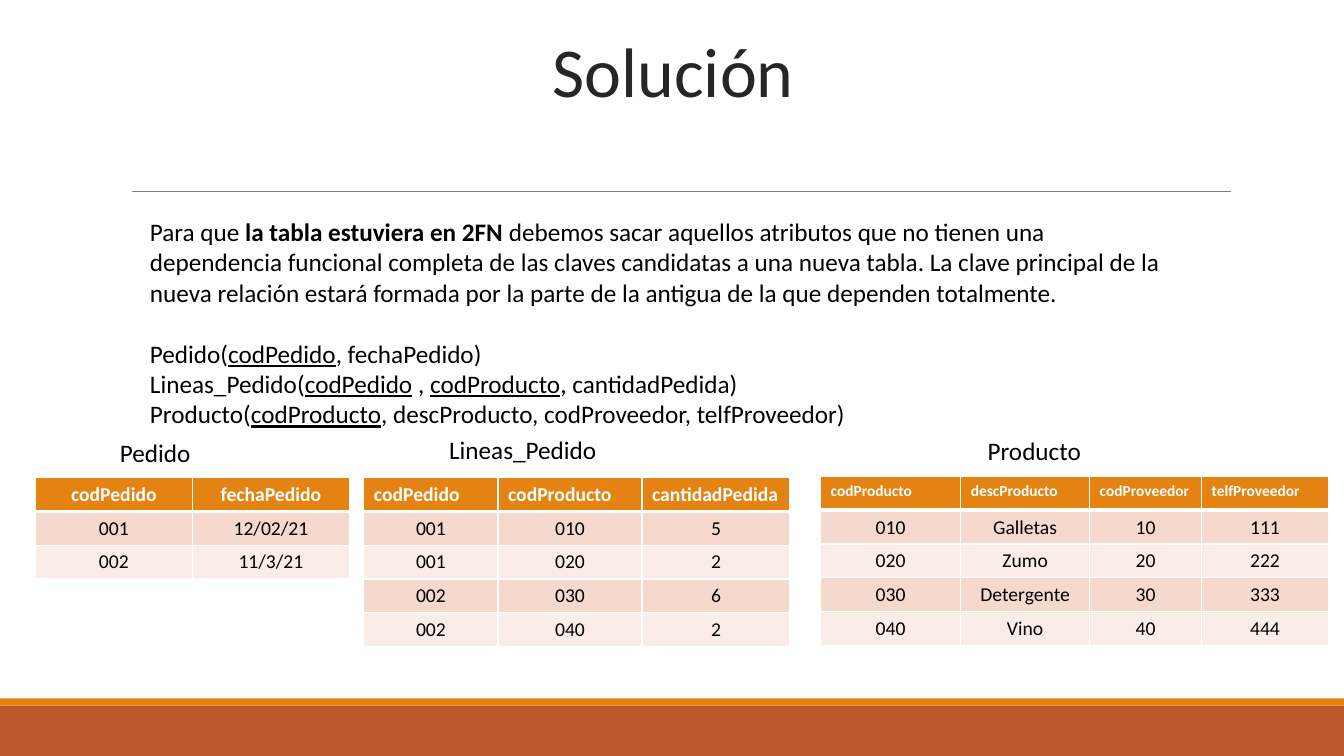
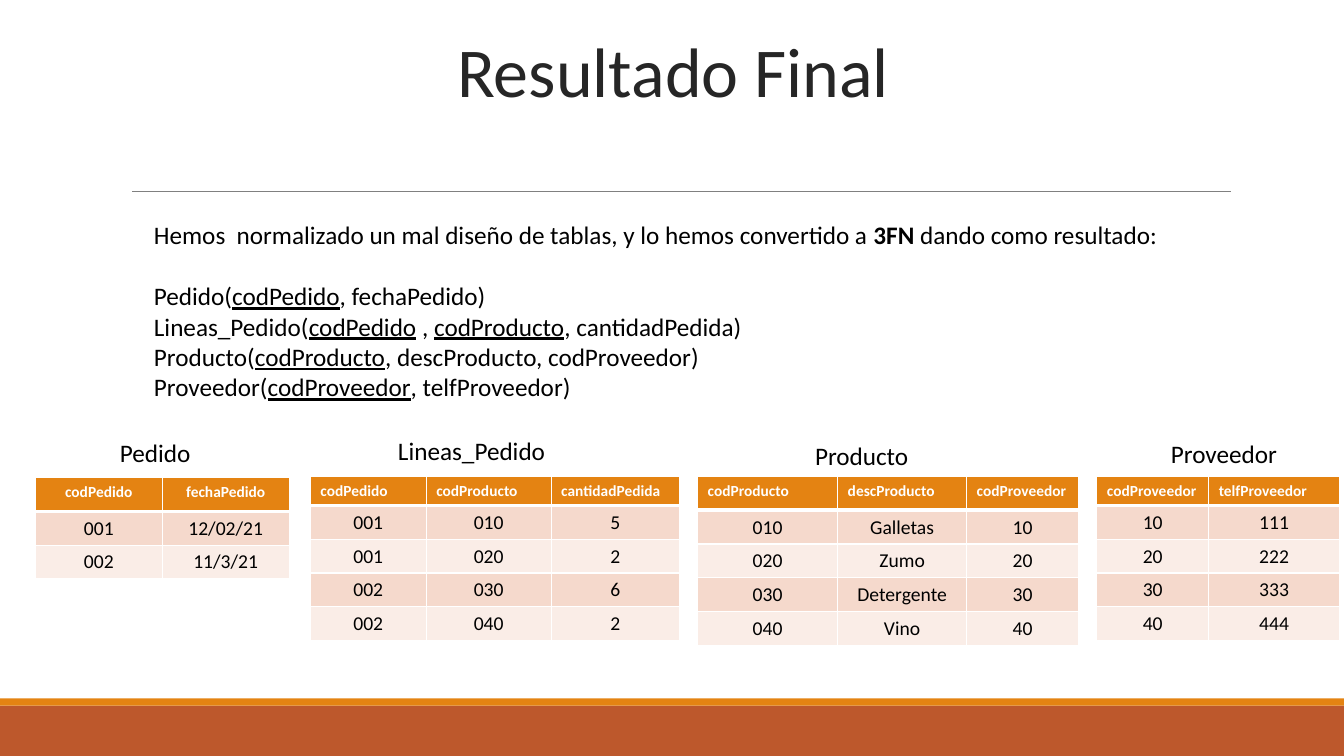
from lxml import etree
from pptx import Presentation
from pptx.dml.color import RGBColor
from pptx.enum.shapes import MSO_CONNECTOR, MSO_SHAPE
from pptx.enum.text import MSO_ANCHOR, PP_ALIGN
from pptx.oxml.ns import qn
from pptx.util import Cm, Pt

RECT = MSO_SHAPE.RECTANGLE
LINE = MSO_CONNECTOR.STRAIGHT
MIDDLE = MSO_ANCHOR.MIDDLE
LEFT, CENTER = PP_ALIGN.LEFT, PP_ALIGN.CENTER

FONT = "Calibri"
WHITE, BLACK, DARK, GRAY = "FFFFFF", "000000", "262626", "808080"
ORANGE, RUST = "E48312", "BD582C"
STRIPES = ["FAEDE7", "F5D9CC"]
WIDTH, HEIGHT = 33.87, 19.05
ROW = 0.85
BANDS = [(17.78, 1.27, RUST), (17.6, 0.18, ORANGE)]

ORDERS = [["codPedido", "fechaPedido"], ["001", "12/02/21"], ["002", "11/3/21"]]
LINES = [["codPedido", "codProducto", "cantidadPedida"],
         ["001", "010", "5"], ["001", "020", "2"],
         ["002", "030", "6"], ["002", "040", "2"]]
GOODS = [["codProducto", "descProducto", "codProveedor"],
         ["010", "Galletas", "10"], ["020", "Zumo", "20"],
         ["030", "Detergente", "30"], ["040", "Vino", "40"]]
VENDORS = [["codProveedor", "telfProveedor"],
           ["10", "111"], ["20", "222"], ["30", "333"], ["40", "444"]]
FULL = [good + vendor[1:] for good, vendor in zip(GOODS, VENDORS)]

# Text between bars is bold in the intro and underlined in the schemas.
ORDER_KEYS = ["Pedido(|codPedido|, fechaPedido)",
              "Lineas_Pedido(|codPedido| , |codProducto|, cantidadPedida)"]

# Each table: name, label box (left, top, width), left, top,
# column widths, header height, header size, rows
SLIDES = [
    {"title": "Solución",
     "body": (3.53, 5.33, 26.04),
     "intro": "Para que |la tabla estuviera en 2FN |debemos sacar aquellos "
              "atributos que no tienen una dependencia funcional completa de "
              "las claves candidatas a una nueva tabla. La clave principal de "
              "la nueva relación estará formada por la parte de la antigua de "
              "la que dependen totalmente.",
     "keys": ORDER_KEYS + [
         "Producto(|codProducto|, descProducto, codProveedor, telfProveedor)"],
     "tables": [
         ("Pedido", (2.77, 10.9, 4.98), 0.89, 12.04,
          [3.96, 3.96], ROW, 14, ORDERS),
         ("Lineas_Pedido", (11.07, 10.82, 5.92), 9.17, 12.04,
          [3.38, 3.63, 3.73], ROW, 14, LINES),
         ("Producto", (24.64, 10.85, 5.31), 20.68, 12.01,
          [3.53, 3.25, 2.82, 3.2], ROW, 11, FULL)]},
    {"title": "Resultado Final",
     "body": (3.63, 5.41, 25.93),
     "intro": "Hemos  normalizado un mal diseño de tablas, y lo hemos "
              "convertido a |3FN| dando como resultado:",
     "keys": ORDER_KEYS + [
         "Producto(|codProducto|, descProducto, codProveedor)",
         "Proveedor(|codProveedor|, telfProveedor)"],
     "tables": [
         ("Pedido", (2.77, 10.9, 4.98), 0.89, 12.04,
          [3.2, 3.2], ROW, 11, ORDERS),
         ("Lineas_Pedido", (9.78, 10.85, 5.92), 7.82, 12.01,
          [2.92, 3.15, 3.23], 0.73, 11, LINES),
         ("Producto", (20.29, 10.97, 5.21), 17.58, 12.01,
          [3.53, 3.25, 2.82], ROW, 11, GOODS),
         ("Proveedor", (29.26, 10.92, 4.09), 27.64, 12.01,
          [2.82, 3.3], 0.73, 11, VENDORS)]},
]


def tint(color, value):
    color.rgb = RGBColor.from_string(value)


def write(par, text, size, color=BLACK, mark="bold", **style):
    """Add text as runs; pieces between bars get the mark attribute."""
    for i, piece in enumerate(text.split("|")):
        run = par.add_run()
        run.text = piece
        look = {"name": FONT, "size": Pt(size), **style}
        if i % 2:
            look[mark] = True
        for key, value in look.items():
            setattr(run.font, key, value)
        tint(run.font.color, color)


deck = Presentation()
deck.slide_width, deck.slide_height = Cm(WIDTH), Cm(HEIGHT)

for page in SLIDES:
    slide = deck.slides.add_slide(deck.slide_layouts[6])
    shapes = slide.shapes

    for top, height, color in BANDS:
        band = shapes.add_shape(RECT, 0, Cm(top), Cm(WIDTH), Cm(height))
        band.shadow.inherit = False
        band.fill.solid()
        tint(band.fill.fore_color, color)
        band.line.fill.background()

    rule = shapes.add_connector(LINE, Cm(3.33), Cm(4.83), Cm(31.01), Cm(4.83))
    rule.line.width = Pt(0.5)
    tint(rule.line.color, GRAY)
    etree.SubElement(rule._element.spPr, qn("a:effectLst"))

    frame = shapes.add_textbox(Cm(0.89), Cm(0.94), Cm(32.16), Cm(2.01)).text_frame
    for key, value in {"word_wrap": True, "vertical_anchor": MIDDLE,
                       "margin_left": 0, "margin_right": 0}.items():
        setattr(frame, key, value)
    par = frame.paragraphs[0]
    par.alignment, par.line_spacing, par.space_after = CENTER, 0.8, Pt(2)
    write(par, page["title"], 50, DARK)

    left, top, width = page["body"]
    frame = shapes.add_textbox(Cm(left), Cm(top), Cm(width), Cm(7.95)).text_frame
    frame.word_wrap = True
    write(frame.paragraphs[0], page["intro"], 18)
    for i, key in enumerate(page["keys"]):
        par = frame.add_paragraph()
        if i == 0:
            par.space_before = Pt(22)
        write(par, key, 18, mark="underline")

    for name, label, left, top, widths, head, size, rows in page["tables"]:
        x, y, width = label
        frame = shapes.add_textbox(Cm(x), Cm(y), Cm(width), Cm(1.02)).text_frame
        frame.word_wrap = True
        write(frame.paragraphs[0], name, 18)

        tall = head + ROW * (len(rows) - 1)
        table = shapes.add_table(len(rows), len(widths), Cm(left), Cm(top),
                                 Cm(sum(widths)), Cm(tall)).table
        for col, width in zip(table.columns, widths):
            col.width = Cm(width)
        for r, row in enumerate(rows):
            table.rows[r].height = Cm(ROW if r else head)
            for c, text in enumerate(row):
                cell = table.cell(r, c)
                par = cell.text_frame.paragraphs[0]
                par.alignment = CENTER if r or name == "Pedido" else LEFT
                if r:
                    write(par, text, 14, bold=False)
                else:
                    write(par, text, size, WHITE, bold=True)
                props = cell._tc.get_or_add_tcPr()
                for side in "LRTB":
                    thick = (r, side) in [(0, "B"), (1, "T")]
                    edge = etree.SubElement(props, qn("a:ln" + side),
                                            w=str(Pt(3 if thick else 1)))
                    fill = etree.SubElement(edge, qn("a:solidFill"))
                    etree.SubElement(fill, qn("a:srgbClr"), val=WHITE)
                cell.fill.solid()
                tint(cell.fill.fore_color, STRIPES[r % 2] if r else ORANGE)

deck.save("out.pptx")
